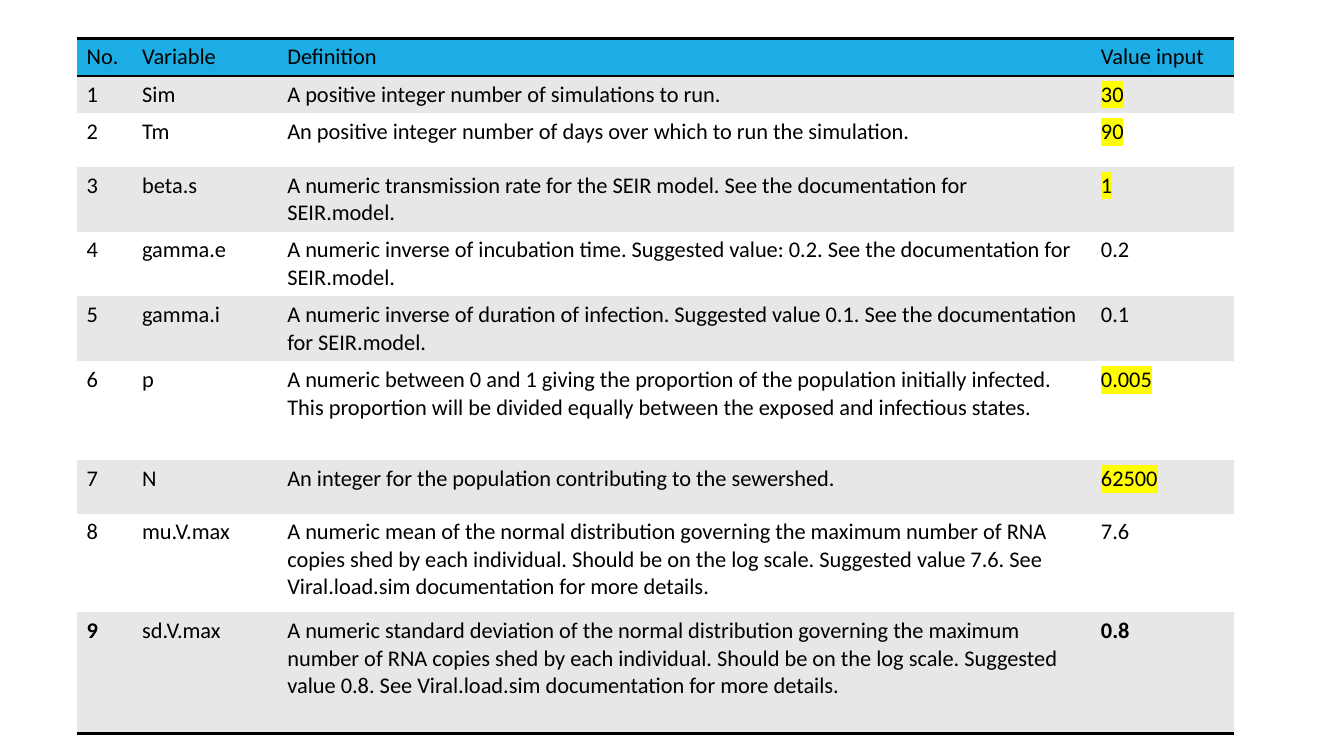
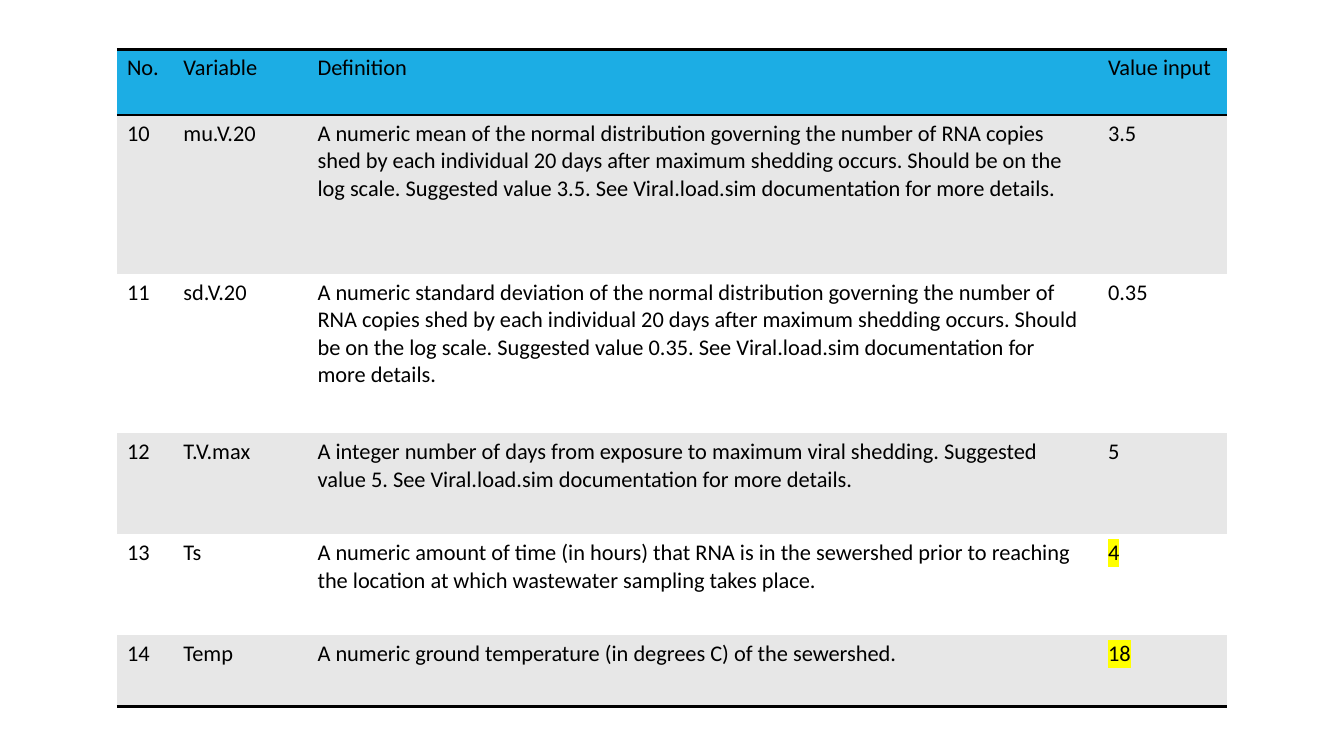
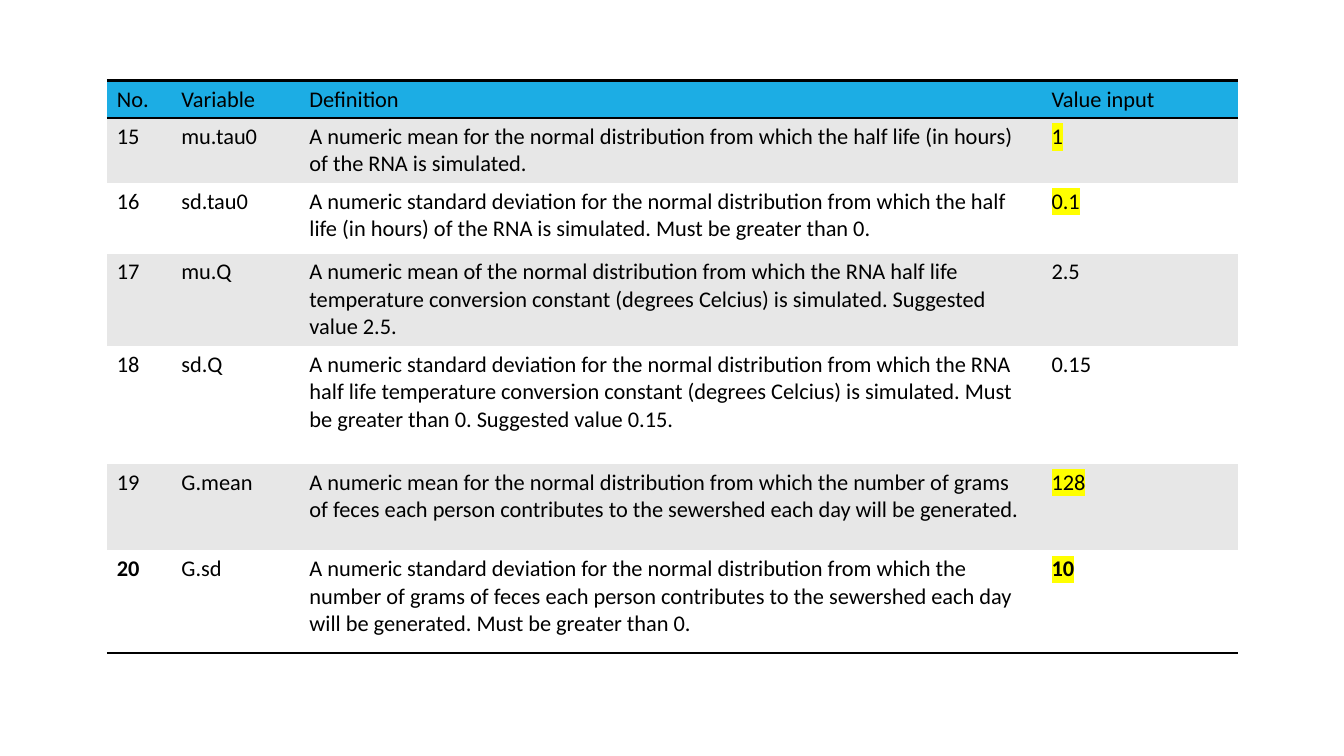
"""Build three slides that list the inputs of a sewershed simulation."""
import pptx
import pptx.dml.color
import pptx.oxml
import pptx.oxml.ns
import pptx.util
import lxml.etree

Inches = pptx.util.Inches
RGB = pptx.dml.color.RGBColor.from_string
HUES = {"head": "1CADE4", "odd": "E7E7E7", "even": "FFFFFF", "ink": "000000", "mark": "FFFF00"}
FONT = {"name": "Calibri", "size": pptx.util.Pt(16), "bold": False}
FLAGS = {"first_row": False, "horz_banding": False}
PLAIN = "{2D5ABB26-0587-4C30-8999-92F81FD0307C}"
HEAD = ("No.", "Variable", "Definition", "Value input")
RULE = pptx.util.Pt(2)

PAGES = [
    {
        "box": (0.76, 0.38, 11.48, 6.74), "cols": (0.55, 1.44, 8.07, 1.42),
        "top": 0.34, "start": 1, "strong": True,
        "rows": [
            (0.34, "Sim", "A positive integer number of simulations to run.", "30", True),
            (0.53, "Tm", "An positive integer number of days over which to run the simulation.", "90", True),
            (0.53, "beta.s", "A numeric transmission rate for the SEIR model. "
             "See the documentation for SEIR.model.", "1", True),
            (0.6, "gamma.e", "A numeric inverse of incubation time. Suggested value: 0.2. "
             "See the documentation for SEIR.model.", "0.2", False),
            (0.6, "gamma.i", "A numeric inverse of duration of infection. Suggested value 0.1. "
             "See the documentation for SEIR.model.", "0.1", False),
            (0.98, "p", "A numeric between 0 and 1 giving the proportion of the population initially infected. "
             "This proportion will be divided equally between the exposed and infectious states.", "0.005", True),
            (0.53, "N", "An integer for the population contributing to the sewershed.", "62500", True),
            (0.98, "mu.V.max", "A numeric mean of the normal distribution governing the maximum number of RNA "
             "copies shed by each individual. Should be on the log scale. Suggested value 7.6. "
             "See Viral.load.sim documentation for more details.", "7.6", False),
            (1.2, "sd.V.max", "A numeric standard deviation of the normal distribution governing the maximum "
             "number of RNA copies shed by each individual. Should be on the log scale. Suggested value 0.8. "
             "See Viral.load.sim documentation for more details.", "0.8", False),
        ],
    },
    {
        "box": (1.16, 0.49, 11.01, 6.52), "cols": (0.56, 1.33, 7.84, 1.28),
        "top": 0.65, "start": 10, "strong": False,
        "rows": [
            (1.58, "mu.V.20", "A numeric mean of the normal distribution governing the number of RNA copies shed "
             "by each individual 20 days after maximum shedding occurs. Should be on the log scale. "
             "Suggested value 3.5. See Viral.load.sim documentation for more details.", "3.5", False),
            (1.58, "sd.V.20", "A numeric standard deviation of the normal distribution governing the number of "
             "RNA copies shed by each individual 20 days after maximum shedding occurs. Should be on the log "
             "scale. Suggested value 0.35. See Viral.load.sim documentation for more details.", "0.35", False),
            (1, "T.V.max", "A integer number of days from exposure to maximum viral shedding. "
             "Suggested value 5. See Viral.load.sim documentation for more details.", "5", False),
            (1, "Ts", "A numeric amount of time (in hours) that RNA is in the sewershed prior to reaching "
             "the location at which wastewater sampling takes place.", "4", True),
            (0.71, "Temp", "A numeric ground temperature (in degrees C) of the sewershed.", "18", True),
        ],
    },
    {
        "box": (1.06, 0.8, 11.22, 5.65), "cols": (0.64, 1.27, 7.36, 1.95),
        "top": 0.35, "start": 15, "strong": True,
        "rows": [
            (0.54, "mu.tau0", "A numeric mean for the normal distribution from which the half life (in hours) "
             "of the RNA is simulated.", "1", True),
            (0.7, "sd.tau0", "A numeric standard deviation for the normal distribution from which the half life "
             "(in hours) of the RNA is simulated. Must be greater than 0.", "0.1", True),
            (0.86, "mu.Q", "A numeric mean of the normal distribution from which the RNA half life temperature "
             "conversion constant (degrees Celcius) is simulated. Suggested value 2.5.", "2.5", False),
            (1.17, "sd.Q", "A numeric standard deviation for the normal distribution from which the RNA half life "
             "temperature conversion constant (degrees Celcius) is simulated. Must be greater than 0. "
             "Suggested value 0.15.", "0.15", False),
            (0.86, "G.mean", "A numeric mean for the normal distribution from which the number of grams of feces "
             "each person contributes to the sewershed each day will be generated.", "128", True),
            (1.02, "G.sd", "A numeric standard deviation for the normal distribution from which the number of "
             "grams of feces each person contributes to the sewershed each day will be generated. "
             "Must be greater than 0.", "10", True),
        ],
    },
]


def apply(item, values):
    """Set each named attribute of an item."""
    for name, value in values.items():
        setattr(item, name, value)


def solid(hue):
    """Return the XML of a solid colour."""
    return f'<a:solidFill><a:srgbClr val="{hue}"/></a:solidFill>'


def node(tag, body, attrs=""):
    """Return a drawing element with the given content."""
    space = pptx.oxml.ns.nsdecls("a")
    return pptx.oxml.parse_xml(f"<a:{tag} {space} {attrs}>{body}</a:{tag}>")


def write(cell, text, hue, bold=False, mark=False):
    """Fill a cell and write its text, highlighted if marked."""
    cell.fill.solid()
    cell.fill.fore_color.rgb = RGB(HUES[hue])
    run = cell.text_frame.paragraphs[0].add_run()
    run.text = text
    apply(run.font, {**FONT, "bold": bold})
    run.font.color.rgb = RGB(HUES["ink"])
    if mark:
        ink = run._r.get_or_add_rPr().find(pptx.oxml.ns.qn("a:solidFill"))
        ink.addnext(node("highlight", f'<a:srgbClr val="{HUES["mark"]}"/>'))


def edge(row, sides):
    """Rule the given sides of every cell in a row."""
    for cell in row.cells:
        props = cell._tc.get_or_add_tcPr()
        for spot, side in enumerate(sides):
            props.insert(spot, node(f"ln{side}", solid(HUES["ink"]), f'w="{RULE}"'))


def grid(slide, box, page):
    """Place one table of variables in its box."""
    rows = page["rows"]
    frame = slide.shapes.add_table(len(rows) + 1, len(HEAD), *map(Inches, box))
    table = frame.table
    apply(table, FLAGS)
    table._tbl.tblPr.find(pptx.oxml.ns.qn("a:tableStyleId")).text = PLAIN
    for col, width in zip(table.columns, page["cols"]):
        col.width = Inches(width)
    for row, high in zip(table.rows, [page["top"]] + [item[0] for item in rows]):
        row.height = Inches(high)
    for cell, text in zip(table.rows[0].cells, HEAD):
        write(cell, text, "head")
    for spot, (_, name, note, value, mark) in enumerate(rows):
        hue = "even" if spot % 2 else "odd"
        bold = page["strong"] and spot == len(rows) - 1
        cells = table.rows[spot + 1].cells
        write(cells[0], str(page["start"] + spot), hue, bold)
        write(cells[1], name, hue)
        write(cells[2], note, hue)
        write(cells[3], value, hue, bold, mark)
    edge(table.rows[0], "TB")
    edge(table.rows[len(rows)], "B")


def main():
    """Build and save the deck."""
    deck = pptx.Presentation()
    apply(deck, {"slide_width": Inches(13.33), "slide_height": Inches(7.5)})
    for page in PAGES:
        grid(deck.slides.add_slide(deck.slide_layouts[6]), page["box"], page)
    deck.save("out.pptx")


if __name__ == "__main__":
    main()
